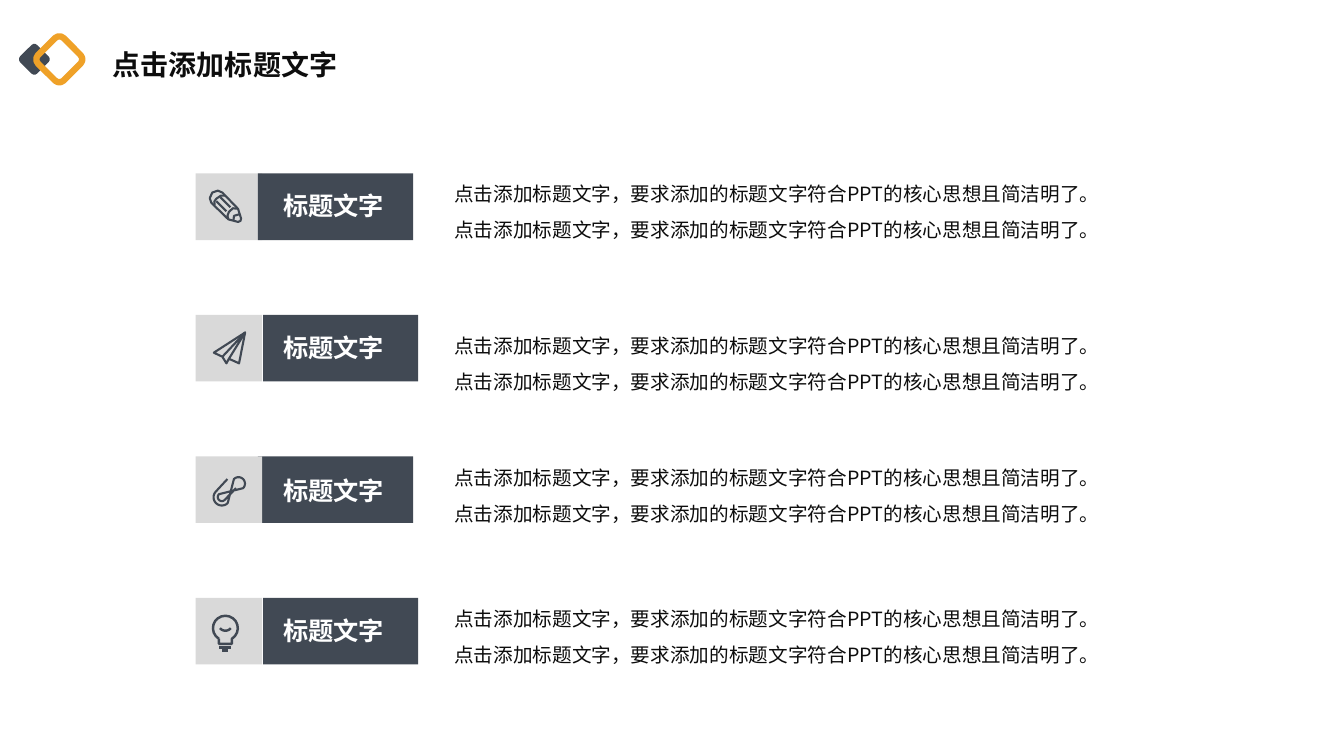
"""Builds a title slide with four icon-labelled rows of explanatory text."""
import math

import pptx
import pptx.dml.color
import pptx.enum.shapes
import pptx.enum.text
import pptx.oxml.ns
import pptx.util
from lxml import etree

Cm, Pt = pptx.util.Cm, pptx.util.Pt
RGBColor = pptx.dml.color.RGBColor
SHAPES = pptx.enum.shapes.MSO_SHAPE
ALIGN = pptx.enum.text.PP_ALIGN

SLATE = RGBColor(0x41, 0x49, 0x54)
PALE = RGBColor(0xD9, 0xD9, 0xD9)
AMBER = RGBColor(0xEF, 0xA1, 0x28)
INK = RGBColor(0x0D, 0x0D, 0x0D)
WHITE = RGBColor(0xFF, 0xFF, 0xFF)
FONT = "Noto Sans CJK SC"
HEADING = "点击添加标题文字"
LABEL = "标题文字"
DETAIL = "点击添加标题文字，要求添加的标题文字符合PPT的核心思想且简洁明了。"


def write(frame, lines, size, color, bold=False, align=ALIGN.LEFT, spacing=1.0):
    frame.word_wrap = True
    frame.auto_size = pptx.enum.text.MSO_AUTO_SIZE.SHAPE_TO_FIT_TEXT
    frame.vertical_anchor = pptx.enum.text.MSO_ANCHOR.TOP
    for index, line in enumerate(lines):
        paragraph = frame.add_paragraph() if index else frame.paragraphs[0]
        paragraph.alignment = align
        paragraph.line_spacing = spacing
        paragraph.space_before = Pt(0)
        run = paragraph.add_run()
        run.text = line
        run.font.name = FONT
        run.font.size = Pt(size)
        run.font.bold = bold
        run.font.color.rgb = color
        east_asian = etree.SubElement(run.font._element, pptx.oxml.ns.qn("a:ea"))
        east_asian.set("typeface", FONT)


def arc(x, y, radius, start, end):
    angles = [math.radians(start + (end - start) * step / 16) for step in range(17)]
    return [(x + radius * math.cos(a), y + radius * math.sin(a)) for a in angles]


pencil = [
    [(15.5, 29), (14, 24.5), (16.5, 19), (22, 17), (26.5, 19), (42, 35),
     (45, 44.5), (44.5, 47), (42, 48), (32.5, 45.5), (15.5, 29)],
    [(19, 31), (18.5, 28), (20.5, 25), (25, 22), (29, 22)],
    [(20.5, 27.5), (30.5, 37.5)],
    [(24.5, 23.5), (34.5, 33.5)],
    [(32.5, 45.5), (31.5, 42), (33, 38), (37, 34.5), (42, 35)],
    [(37.5, 46.5), (38, 42), (43, 40.5)],
]
paper_plane = [
    [(49, 17.5), (18, 37.5), (26.5, 41.5), (30.5, 48), (33, 43.5), (43, 48), (49, 17.5)],
    [(26.5, 41.5), (49, 17.5), (33, 43.5)],
]
paper_clip = [
    [(31.5, 22.5), *arc(26, 40.5, 8.2, 225, 45), *arc(42.5, 27, 6.4, 225, 405),
     *arc(26, 40.3, 4, 225, 45), (40, 31.5)],
]
light_bulb = [
    [*arc(29.5, 30, 12.3, 122, 418), (36, 45.5), (23, 45.5), (23, 40.4)],
    arc(29.5, 25.5, 7, 140, 40),
    [(23.5, 49), (35.5, 49)],
    [(26.5, 52), (32.5, 52)],
]

presentation = pptx.Presentation()
presentation.slide_width = Cm(33.87)
presentation.slide_height = Cm(19.05)
slide = presentation.slides.add_slide(presentation.slide_layouts[5])

heading = slide.shapes.title
heading.left, heading.top, heading.width, heading.height = Cm(2.59), Cm(1.07), Cm(9.14), Cm(1.12)
write(heading.text_frame, [HEADING], 20, INK, bold=True)

for left, top, side, filled in [(0.56, 1.19, 0.61, True), (1.04, 1.04, 0.91, False)]:
    diamond = slide.shapes.add_shape(SHAPES.ROUNDED_RECTANGLE, Cm(left), Cm(top), Cm(side), Cm(side))
    diamond.rotation = 45
    diamond.shadow.inherit = False
    if filled:
        diamond.fill.solid()
        diamond.fill.fore_color.rgb = SLATE
        diamond.line.fill.background()
    else:
        diamond.fill.background()
        diamond.line.color.rgb = AMBER
        diamond.line.width = Pt(4.5)

TILE_LEFT, TILE_SIDE, BAND_WIDTH = 4.93, 1.68, 3.91
FIRST_TOP, ROW_STEP = 4.37, 3.565
rows = [
    (pencil, 1.5, 6.5, 4.67, 4.17),
    (paper_plane, 1.5, 6.63, 8.26, 8.0),
    (paper_clip, 1.5, 6.5, 11.86, 11.33),
    (light_bulb, 1.75, 6.63, 15.39, 14.88),
]
for row, (icon, stroke, band_left, label_top, detail_top) in enumerate(rows):
    top = FIRST_TOP + row * ROW_STEP
    tile = (TILE_LEFT, TILE_SIDE, PALE)
    band = (band_left, BAND_WIDTH, SLATE)
    for left, width, color in [tile, band] if row == 0 else [band, tile]:
        block = slide.shapes.add_shape(SHAPES.RECTANGLE, Cm(left), Cm(top), Cm(width), Cm(TILE_SIDE))
        block.shadow.inherit = False
        block.fill.solid()
        block.fill.fore_color.rgb = color
        block.line.fill.background()

    unit = TILE_SIDE / 66
    strokes = [[(Cm(TILE_LEFT + x * unit), Cm(top + y * unit)) for x, y in points] for points in icon]
    builder = slide.shapes.build_freeform(*strokes[0][0])
    for points in strokes:
        builder.move_to(*points[0])
        builder.add_line_segments(points[1:], close=False)
    symbol = builder.convert_to_shape()
    symbol.shadow.inherit = False
    symbol.fill.background()
    symbol.line.color.rgb = SLATE
    symbol.line.width = Pt(stroke)

    label = slide.shapes.add_textbox(Cm(6.6), Cm(label_top), Cm(3.61), Cm(1.02))
    write(label.text_frame, [LABEL], 18, WHITE, bold=True, align=ALIGN.CENTER)
    detail = slide.shapes.add_textbox(Cm(11.2), Cm(detail_top), Cm(16.84), Cm(1.96))
    write(detail.text_frame, [DETAIL] * 2, 14, INK, spacing=1.5)

presentation.save("out.pptx")
